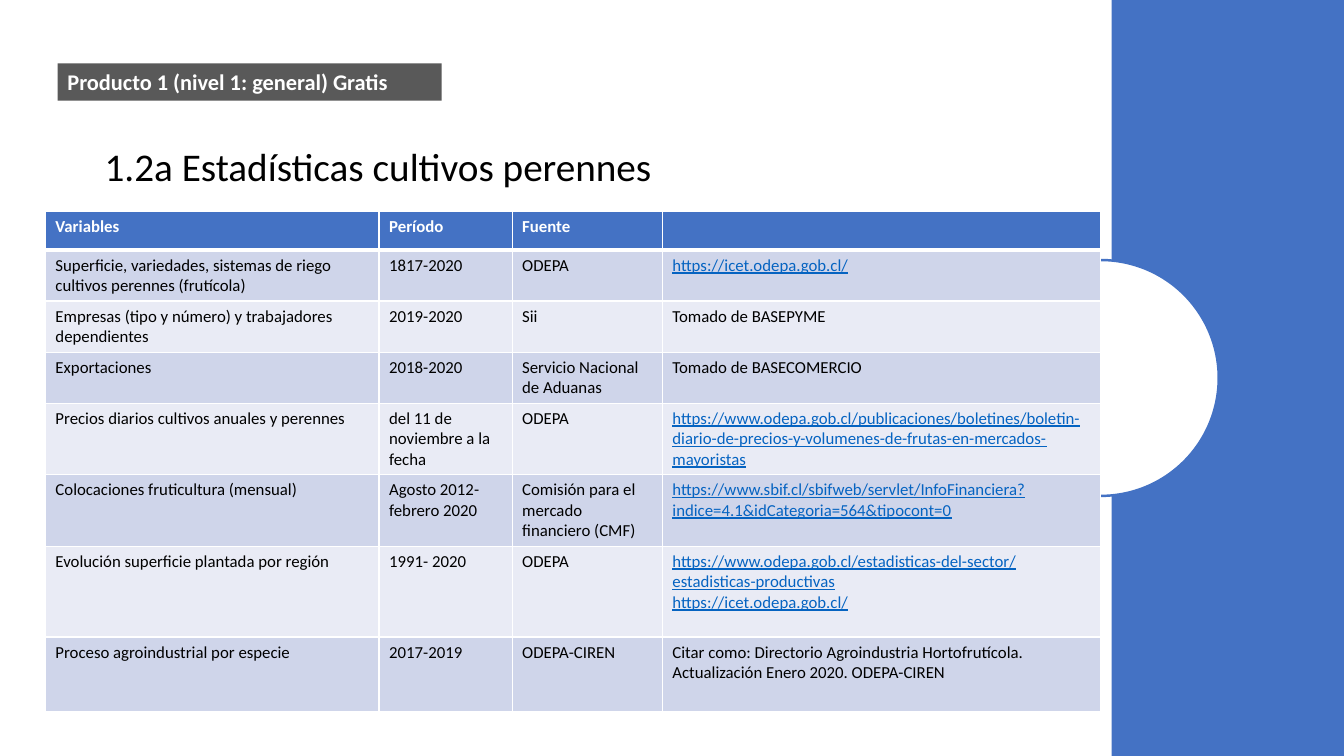
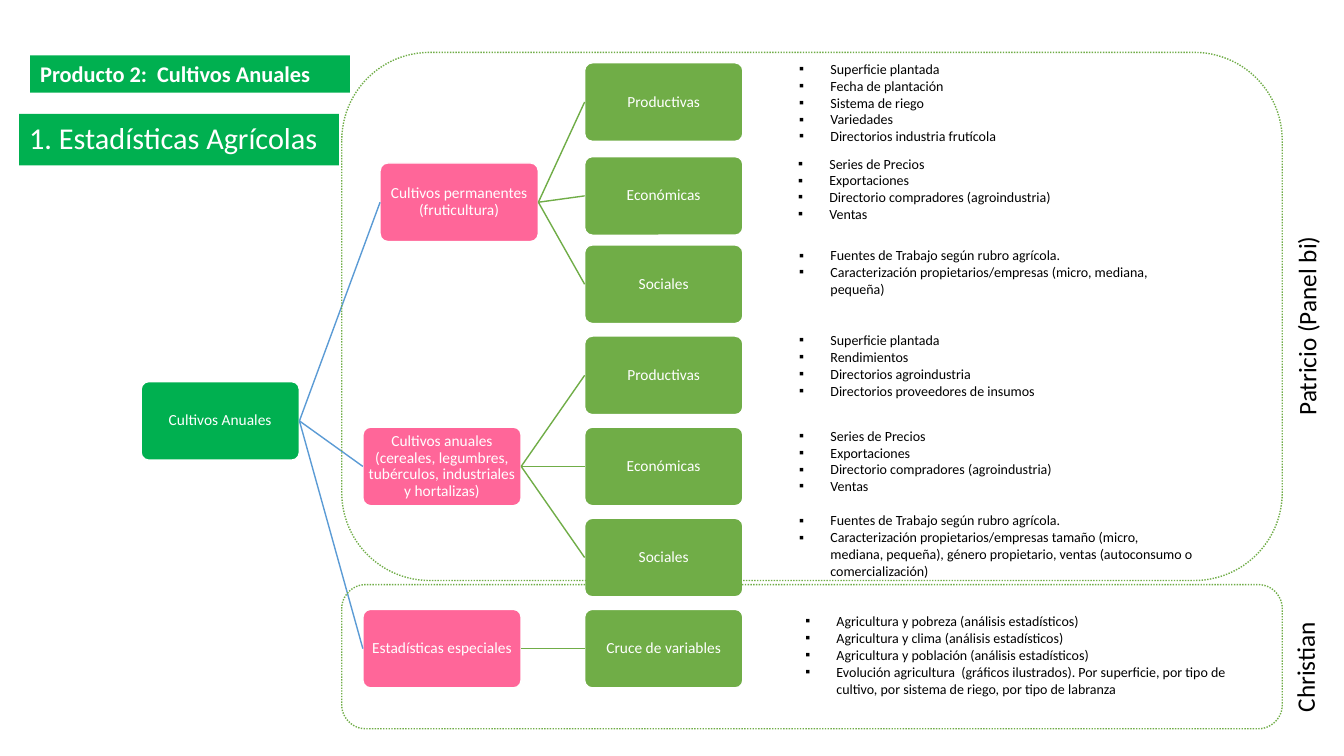
from lxml.etree import SubElement
from pptx import Presentation
from pptx.dml.color import RGBColor
from pptx.enum.dml import MSO_LINE_DASH_STYLE as Dash
from pptx.enum.shapes import MSO_CONNECTOR as Link, MSO_SHAPE as Shape
from pptx.enum.text import MSO_ANCHOR as Anchor, PP_ALIGN as Align
from pptx.oxml import parse_xml
from pptx.oxml.ns import nsdecls, qn
from pptx.util import Inches, Pt

# Shared look: colours, text formats and slide size
hex_color = RGBColor.from_string
FONT = "Calibri"
WHITE, BLACK, BLUE, GREY = "FFFFFF", "000000", "4472C4", "595959"
GREEN, LEAF, PINK, SKY, LINK = "00B050", "70AD47", "FF6699", "5B9BD5", "0563C1"
STRIPES = "E9EBF5", "CFD5EA"
TAG = {"size": Pt(16), "bold": True}
TITLE = {"line_spacing": 0.9, "vertical_anchor": Anchor.MIDDLE}
NODE = {"size": Pt(11), "alignment": Align.CENTER, "line_spacing": 0.9,
        "vertical_anchor": Anchor.MIDDLE,
        **{f"margin_{side}": Inches(0.03) for side in ("left", "top", "right", "bottom")}}

deck = Presentation()
deck.slide_width, deck.slide_height = Inches(13.33), Inches(7.5)
column, row_unit = deck.slide_width / 100, deck.slide_height / 100  # one percent each
blank = deck.slide_layouts[6]


def write(frame, lines, color, **values):
    """Fill a text frame; each value goes to the frame, paragraph or font that owns it."""
    frame.word_wrap = True
    for index, line in enumerate(lines):
        para = frame.paragraphs[0] if index == 0 else frame.add_paragraph()
        span = para.add_run()
        span.text = line
        span.font.name = FONT
        span.font.color.rgb = hex_color(color)
        for name, value in values.items():
            owner = next(item for item in (frame, para, span.font) if hasattr(item, name))
            setattr(owner, name, value)


def add_box(page, place, lines=(), color=BLACK, kind=Shape.RECTANGLE,
            fill=None, line=None, width=1, **values):
    """Add a shape whose place is left, top, width, height in percent of the slide."""
    left, top, wide, high = place
    box = page.shapes.add_shape(kind, int(left * column), int(top * row_unit),
                                int(wide * column), int(high * row_unit))
    box.shadow.inherit = False
    if fill:
        box.fill.solid()
        box.fill.fore_color.rgb = hex_color(fill)
    else:
        box.fill.background()
    if line:
        box.line.color.rgb = hex_color(line)
        box.line.width = Pt(width)
    else:
        box.line.fill.background()
    settings = {"alignment": Align.LEFT, "vertical_anchor": Anchor.TOP, **values}
    write(box.text_frame, lines, color, **settings)
    return box


# Slide 1: title, side band and tag
page = deck.slides.add_slide(blank)
add_box(page, (7.05, 16.4, 61.28, 11.73), ["1.2a Estadísticas cultivos perennes"],
        size=Pt(28), **TITLE)
add_box(page, (82.7, 0, 17.3, 100), fill=BLUE)
add_box(page, (73.13, 34.4, 17.55, 31.2), kind=Shape.OVAL, fill=WHITE, line=BLUE, width=1.75)
add_box(page, (4.28, 8.4, 28.58, 4.93), ["Producto 1 (nivel 1: general) Gratis"],
        WHITE, fill=GREY, **TAG)

# Slide 1: table of sources
SOURCES = [
    ("Variables", "Período", "Fuente", ""),
    ("Superficie, variedades, sistemas de riego cultivos perennes (frutícola)",
     "1817-2020", "ODEPA", "https://icet.odepa.gob.cl/"),
    ("Empresas (tipo y número) y trabajadores dependientes",
     "2019-2020", "Sii", "Tomado de BASEPYME"),
    ("Exportaciones", "2018-2020", "Servicio Nacional de Aduanas",
     "Tomado de BASECOMERCIO"),
    ("Precios diarios cultivos anuales y perennes",
     "del 11 de noviembre a la fecha", "ODEPA",
     "https://www.odepa.gob.cl/publicaciones/boletines/"
     "boletin-diario-de-precios-y-volumenes-de-frutas-en-mercados-mayoristas"),
    ("Colocaciones fruticultura (mensual)", "Agosto 2012- febrero 2020",
     "Comisión para el mercado financiero (CMF)",
     "https://www.sbif.cl/sbifweb/servlet/InfoFinanciera?indice=4.1&idCategoria=564&tipocont=0"),
    ("Evolución superficie plantada por región", "1991- 2020", "ODEPA",
     "https://www.odepa.gob.cl/estadisticas-del-sector/estadisticas-productivas\n"
     "https://icet.odepa.gob.cl/"),
    ("Proceso agroindustrial por especie", "2017-2019", "ODEPA-CIREN",
     "Citar como: Directorio Agroindustria Hortofrutícola. "
     "Actualización Enero 2020. ODEPA-CIREN"),
]
WIDTHS = 24.83, 9.9, 11.18, 32.63
HEIGHTS = 4.53, 6.67, 6.67, 6.67, 9.33, 9.33, 12, 9.87

table = page.shapes.add_table(
    len(SOURCES), len(WIDTHS), int(3.38 * column), int(28 * row_unit),
    int(sum(WIDTHS) * column), int(sum(HEIGHTS) * row_unit)).table
for table_column, width in zip(table.columns, WIDTHS):
    table_column.width = int(width * column)
for number, (texts, height) in enumerate(zip(SOURCES, HEIGHTS)):
    table.rows[number].height = int(height * row_unit)
    header = number == 0
    for cell, text in zip(table.rows[number].cells, texts):
        is_link = text.startswith("https")
        color = WHITE if header else LINK if is_link else BLACK
        write(cell.text_frame, text.split("\n"), color,
              size=Pt(12), bold=header, underline=is_link)
        if not text:
            SubElement(cell.text_frame.paragraphs[0]._p, qn("a:endParaRPr"), sz="1200")
        cell.fill.solid()
        cell.fill.fore_color.rgb = hex_color(BLUE if header else STRIPES[number % 2])
        # White cell borders, thicker around the header's lower edge
        for order, side in enumerate("LRTB"):
            thick = (header and side == "B") or (number == 1 and side == "T")
            cell._tc.get_or_add_tcPr().insert(order, parse_xml(
                f'<a:ln{side} {nsdecls("a")} w="{Pt(3 if thick else 1)}"><a:solidFill>'
                f'<a:srgbClr val="{WHITE}"/></a:solidFill></a:ln{side}>'))

# Slide 2: title
page = deck.slides.add_slide(blank)
add_box(page, (1.43, 15.07, 23.78, 6.8), ["1. Estadísticas Agrícolas"],
        WHITE, fill=GREEN, size=Pt(21.6), **TITLE)

# Slide 2: tree nodes as name: (text, left, row, fill, parent)
ROOT_LEFT, BRANCH_LEFT, LEAF_LEFT = 10.5, 27, 43.5
FIRST_TOP, ROW_PITCH = 8.3, 12.05
NODES = {
    "root": ("Cultivos Anuales", ROOT_LEFT, 3.5, GREEN, None),
    "perennial": ("Cultivos permanentes (fruticultura)", 28.28, 1.1, PINK, "root"),
    "annual": ("Cultivos anuales (cereales, legumbres, tubérculos, industriales y hortalizas)",
               BRANCH_LEFT, 4, PINK, "root"),
    "special": ("Estadísticas especiales", BRANCH_LEFT, 6, PINK, "root"),
    "cross": ("Cruce de variables", LEAF_LEFT, 6, LEAF, "special"),
}
for parent, rows in (("perennial", (0, 1.03, 2)), ("annual", (3, 4, 5))):
    for text, row in zip(("Productivas", "Económicas", "Sociales"), rows):
        NODES[parent + text] = (text, LEAF_LEFT, row, LEAF, parent)

boxes = {}
for name, (text, left, row, fill, parent) in NODES.items():
    box = add_box(page, (left, FIRST_TOP + row * ROW_PITCH, 11.78, 10.4), [text], WHITE,
                  Shape.ROUNDED_RECTANGLE, fill, WHITE, **NODE)
    box.adjustments[0] = 0.1
    boxes[name] = box
    if parent:
        branch = page.shapes.add_connector(Link.STRAIGHT, 0, 0, 0, 0)
        branch.begin_connect(boxes[parent], 3)
        branch.end_connect(box, 1)
        branch.line.color.rgb = hex_color(SKY if parent == "root" else LEAF)
        branch.line.width = Pt(1)
        SubElement(branch._element.spPr, qn("a:effectLst"))

# Slide 2: bulleted lists as (left, top, width, height, items)
ECONOMIC = ["Series de Precios", "Exportaciones",
            "Directorio compradores (agroindustria)", "Ventas"]
LISTS = [
    (58.73, 7.33, 33.6, 12.53, ["Superficie plantada", "Fecha de plantación",
                                "Sistema de riego", "Variedades",
                                "Directorios industria frutícola"]),
    (58.65, 19.87, 30.83, 10.27, ECONOMIC),
    (58.73, 32, 30.83, 8.13, [
        "Fuentes de Trabajo según rubro agrícola.",
        "Caracterización propietarios/empresas (micro, mediana, pequeña)"]),
    (58.73, 43.2, 33.6, 10.27, ["Superficie plantada", "Rendimientos",
                                "Directorios agroindustria",
                                "Directorios proveedores de insumos"]),
    (58.73, 55.87, 30.83, 10.27, ECONOMIC),
    (58.73, 67.07, 30.83, 10.27, [
        "Fuentes de Trabajo según rubro agrícola.",
        "Caracterización propietarios/empresas tamaño (micro, mediana, pequeña), "
        "género propietario, ventas (autoconsumo o comercialización)"]),
    (59.18, 80.4, 33.9, 12.53, [
        "Agricultura y pobreza (análisis estadísticos)",
        "Agricultura y clima (análisis estadísticos)",
        "Agricultura y población (análisis estadísticos)",
        "Evolución agricultura  (gráficos ilustrados). Por superficie, por tipo de cultivo, "
        "por sistema de riego, por tipo de labranza"]),
]
INDENT = Inches(0.31)
for *place, items in LISTS:
    box = add_box(page, place, items, size=Pt(10))
    for para in box.text_frame.paragraphs:
        properties = para._p.get_or_add_pPr()
        properties.set("marL", str(INDENT))
        properties.set("indent", str(-INDENT))
        SubElement(properties, qn("a:buFont"), typeface="Arial")
        SubElement(properties, qn("a:buChar"), char="▪")

# Slide 2: tag, dotted frames and sideways names
add_box(page, (2.25, 7.33, 23.78, 4.93), ["Producto 2:  Cultivos Anuales"],
        WHITE, fill=GREEN, **TAG)
for top, height in ((77.33, 19.07), (6.93, 69.87)):
    frame_box = add_box(page, (25.43, top, 69.98, height),
                        kind=Shape.ROUNDED_RECTANGLE, line=LEAF)
    frame_box.line.dash_style = Dash.ROUND_DOT
for text, *place in (("Christian", 91.95, 83.73, 10.28, 5.33),
                     ("Patricio (Panel bi)", 86.25, 34.13, 21.9, 5.33)):
    add_box(page, place, [text], size=Pt(18)).rotation = 270

deck.save("out.pptx")
